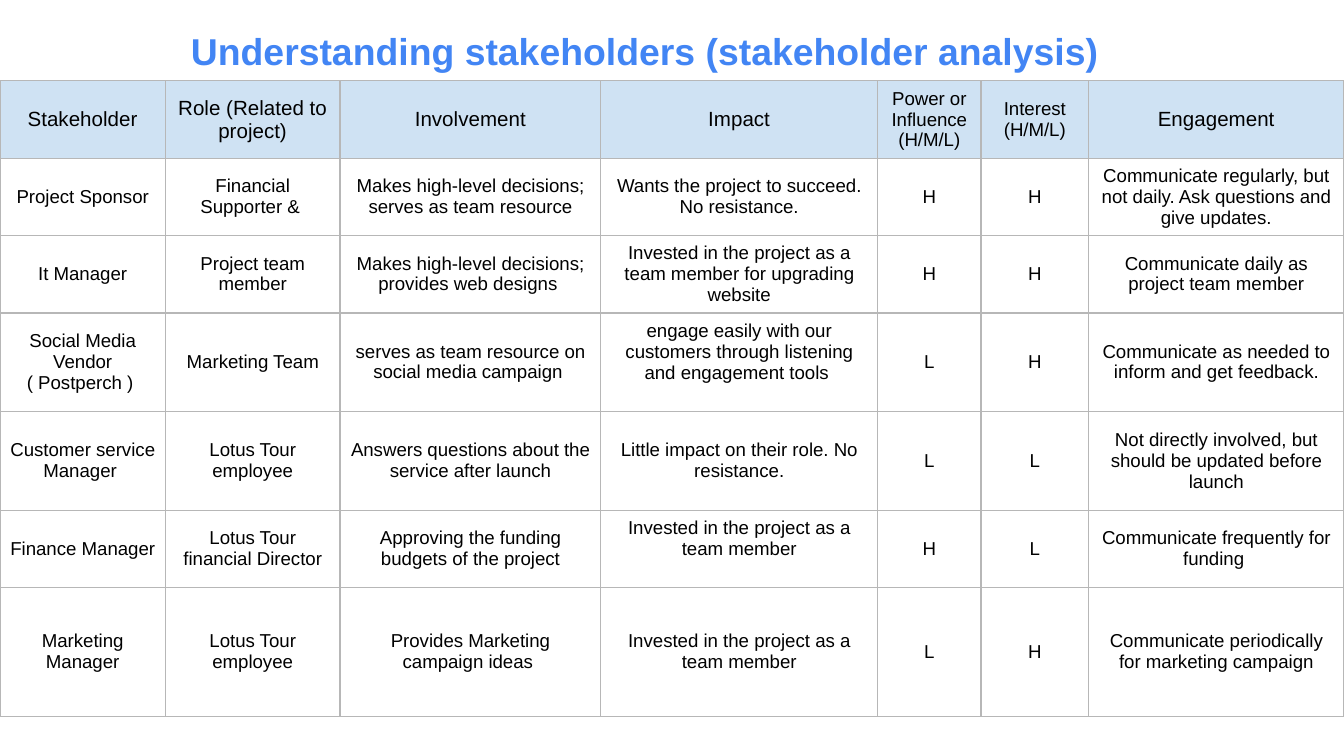
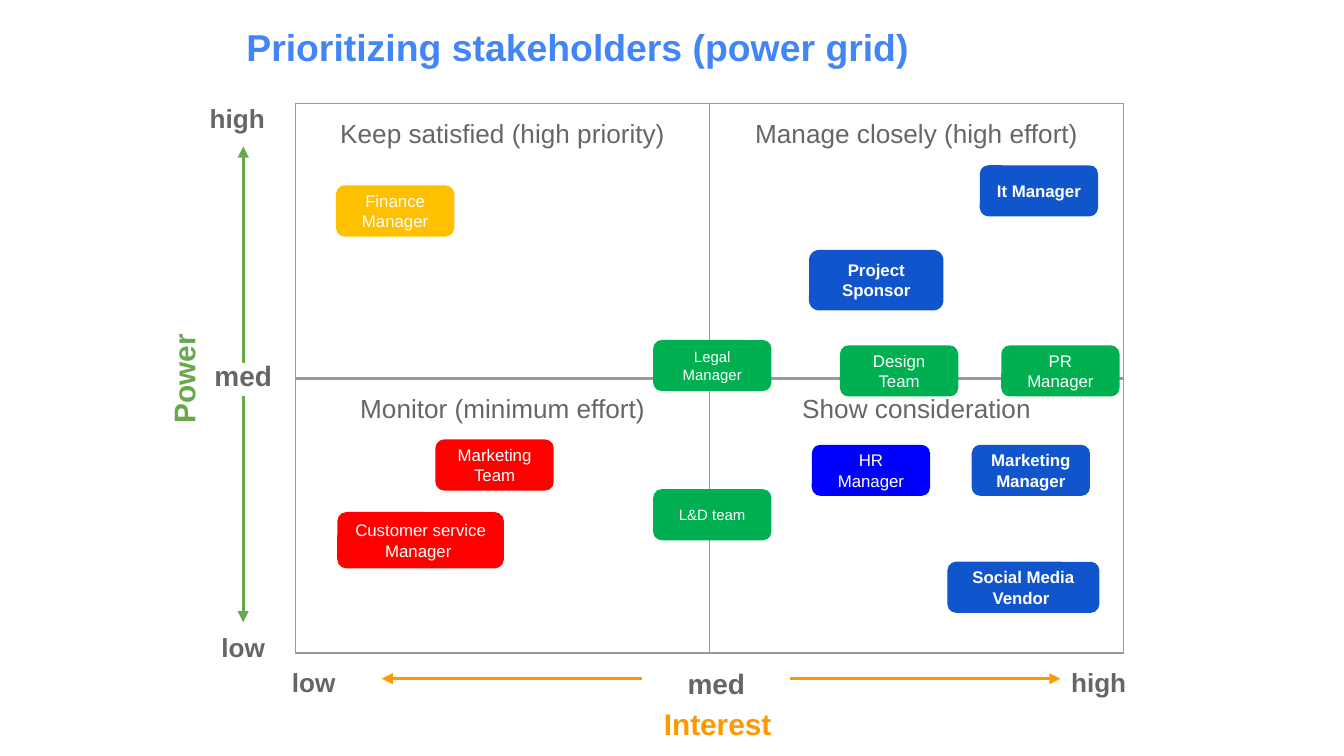
from pptx import Presentation
from pptx.dml.color import RGBColor
from pptx.enum.shapes import MSO_CONNECTOR, MSO_SHAPE
from pptx.enum.text import MSO_ANCHOR, MSO_AUTO_SIZE, PP_ALIGN
from pptx.oxml import parse_xml
from pptx.oxml.ns import nsdecls, qn
from pptx.util import Pt

SCALE = 9144  # EMU per px, 100 px to the inch
WIDE = 1000
FONT = "Arial"
PAD = 10

BLACK = RGBColor(0x00, 0x00, 0x00)
WHITE = RGBColor(0xFF, 0xFF, 0xFF)
TITLE = RGBColor(0x42, 0x85, 0xF4)
HEAD = RGBColor(0xCF, 0xE2, 0xF3)
RULE = RGBColor(0xB7, 0xB7, 0xB7)
FRAME = RGBColor(0x99, 0x99, 0x99)
GRAY = RGBColor(0x66, 0x66, 0x66)
POWER = RGBColor(0x6A, 0xA8, 0x4F)
ORANGE = RGBColor(0xFF, 0x99, 0x00)
GREEN = RGBColor(0x00, 0xB0, 0x50)
BLUE = RGBColor(0x11, 0x55, 0xCC)
DEEP = RGBColor(0x00, 0x00, 0xFF)
RED = RGBColor(0xFF, 0x00, 0x00)
GOLD = RGBColor(0xFF, 0xC0, 0x00)

CENTER, RIGHT = PP_ALIGN.CENTER, PP_ALIGN.RIGHT
TOP, MIDDLE = MSO_ANCHOR.TOP, MSO_ANCHOR.MIDDLE
NO_FIT = MSO_AUTO_SIZE.NONE
RECT, ROUND = MSO_SHAPE.RECTANGLE, MSO_SHAPE.ROUNDED_RECTANGLE
STRAIGHT = MSO_CONNECTOR.STRAIGHT

# Stakeholder table
COLS = [123, 130, 194, 206, 77, 80, 190]
ROWS = [58, 57, 58, 73, 74, 57, 96]
SMALL_HEADS = (4, 5)
RAISED = {(3, 3), (5, 3)}  # cells whose text sits half a line higher
CELLS = [
    ["Stakeholder", "Role (Related to project)", "Involvement", "Impact",
     "Power or Influence (H/M/L)", "Interest (H/M/L)", "Engagement"],
    ["Project Sponsor", "Financial Supporter & ",
     "Makes high-level decisions; serves as team resource",
     "Wants the project to succeed. No resistance.", "H", "H",
     "Communicate regularly, but not daily. Ask questions and give updates."],
    ["It Manager", "Project team member",
     "Makes high-level decisions; provides web designs ",
     "Invested in the project as a team member for upgrading website",
     "H", "H", "Communicate daily as project team member"],
    ["Social Media Vendor ( Postperch ) ", "Marketing Team",
     "serves as team resource on social media campaign ",
     "engage easily with our customers through listening and engagement tools ",
     "L", "H", "Communicate as needed to inform and get feedback."],
    ["Customer service Manager ", "Lotus Tour employee",
     "Answers questions about the service after launch",
     "Little impact on their role. No resistance.", "L", "L",
     "Not directly involved, but should be updated before launch"],
    ["Finance Manager", "Lotus Tour financial Director",
     "Approving the funding budgets of the project",
     "Invested in the project as a team member", "H", "L",
     "Communicate frequently for funding "],
    ["Marketing Manager", "Lotus Tour employee",
     "Provides Marketing campaign ideas ",
     "Invested in the project as a team member", "L", "H",
     "Communicate periodically for marketing campaign"],
]

# Power grid
QUAD_X, QUAD_Y, QUAD_W, QUAD_H = 220, 77, 308, 204
STEP = QUAD_H + 1
QUADS = [
    ["Keep satisfied (high priority)", "Manage closely (high effort)"],
    ["Monitor (minimum effort)", "Show consideration"],
]
LABELS = [  # text, box, size, colour, alignment
    ("high", (74, 66, 133, 26), 14, GRAY, RIGHT),
    ("med", (126, 257, 110, 38), 15, GRAY, CENTER),
    ("low", (74, 460, 133, 26), 14, GRAY, RIGHT),
    ("low", (183, 486, 101, 38), 14, GRAY, CENTER),
    ("med", (478, 486, 110, 38), 15, GRAY, CENTER),
    ("high", (767, 486, 101, 38), 14, GRAY, CENTER),
    ("Interest", (479, 515, 110, 47), 16, ORANGE, CENTER),
]
ARROWS = [  # start, end, colour
    ((181, 270), (181, 109), POWER),
    ((181, 295), (181, 463), POWER),
    ((588, 505), (789, 505), ORANGE),
    ((478, 505), (284, 505), ORANGE),
]
CHIP = (88, 38)
CHIPS = [  # text, left and top, width and height, fill, size
    ("Finance Manager", (250, 138), CHIP, GOLD, 9),
    ("It Manager", (729, 123), CHIP, BLUE, 9),
    ("Project Sponsor", (602, 186), (100, 45), BLUE, 9),
    ("Legal Manager", (486, 253), CHIP, GREEN, 8),
    ("Design Team", (625, 257), CHIP, GREEN, 9),
    ("PR Manager", (745, 257), CHIP, GREEN, 9),
    ("Marketing Team", (324, 327), CHIP, RED, 9),
    ("Customer service Manager ", (251, 381), (124, 42), RED, 9),
    ("L&D team", (486, 364), CHIP, GREEN, 8),
    ("HR Manager", (604, 331), CHIP, DEEP, 9),
    ("Marketing Manager", (723, 331), CHIP, BLUE, 9),
    ("Social Media Vendor ", (705, 418), (113, 38), BLUE, 9),
]


def px(n):
    return n * SCALE


def place(box):
    return [px(n) for n in box]


def style(frame, text, size, color, bold=False, align=CENTER):
    """Set the text of a frame and format its one paragraph."""
    frame.text = text
    para = frame.paragraphs[0]
    para.alignment = align
    for run in para.runs:
        font = run.font
        font.name, font.size, font.bold = FONT, Pt(size), bold
        font.color.rgb = color


def fit(frame, anchor=TOP):
    """Wrap the text, fix the box and set even insets."""
    frame.word_wrap = True
    frame.auto_size = NO_FIT
    frame.vertical_anchor = anchor
    frame.margin_left = frame.margin_right = px(PAD)
    frame.margin_top = frame.margin_bottom = px(PAD)


def add_slide(deck, text, box, space=1.0):
    slide = deck.slides.add_slide(deck.slide_layouts[5])
    title = slide.shapes.title
    title.left, title.top, title.width, title.height = place(box)
    fit(title.text_frame)
    style(title.text_frame, text, 20, TITLE, True)
    title.text_frame.paragraphs[0].line_spacing = space
    return slide


def add_label(slide, text, box, size, color, align, anchor=TOP):
    label = slide.shapes.add_textbox(*place(box))
    fit(label.text_frame, anchor)
    style(label.text_frame, text, size, color, True, align)
    return label


def add_box(slide, kind, box, anchor):
    shape = slide.shapes.add_shape(kind, *place(box))
    shape.shadow.inherit = False
    fit(shape.text_frame, anchor)
    return shape


def add_quad(slide, text, box):
    quad = add_box(slide, RECT, box, TOP)
    quad.fill.background()
    quad.line.color.rgb = FRAME
    quad.line.width = Pt(0.75)
    style(quad.text_frame, text, 14, GRAY)


def add_chip(slide, text, spot, dims, fill, size):
    chip = add_box(slide, ROUND, spot + dims, MIDDLE)
    chip.fill.solid()
    chip.fill.fore_color.rgb = fill
    chip.line.fill.background()
    style(chip.text_frame, text, size, WHITE, fill == BLUE)


def add_arrow(slide, start, end, color):
    arrow = slide.shapes.add_connector(STRAIGHT, *place(start + end))
    arrow.line.color.rgb = color
    arrow.line.width = Pt(1.5)
    props = arrow._element.spPr
    props.find(qn("a:ln")).append(
        parse_xml(f'<a:tailEnd {nsdecls("a")} type="triangle"/>'))
    props.append(parse_xml(f'<a:effectLst {nsdecls("a")}/>'))


def add_edges(cell):
    """Draw the four borders; they come before the fill in the cell."""
    props = cell._tc.get_or_add_tcPr()
    for i, side in enumerate(("lnL", "lnR", "lnT", "lnB")):
        props.insert(i, parse_xml(
            f'<a:{side} {nsdecls("a")} w="{Pt(0.75)}"><a:solidFill>'
            f'<a:srgbClr val="{RULE}"/></a:solidFill></a:{side}>'))


def add_grid(slide):
    table = slide.shapes.add_table(
        len(ROWS), len(COLS),
        *place((0, 60, sum(COLS), sum(ROWS)))).table
    table.first_row = table.horz_banding = False
    for col, width in zip(table.columns, COLS):
        col.width = px(width)
    for r, (row, high) in enumerate(zip(table.rows, ROWS)):
        row.height = px(high)
        for c, text in enumerate(CELLS[r]):
            cell = table.cell(r, c)
            cell.vertical_anchor = MIDDLE
            cell.margin_left = cell.margin_right = px(7)
            cell.margin_top = px(5)
            cell.margin_bottom = px(20 if (r, c) in RAISED else 5)
            if r == 0:
                cell.fill.solid()
                cell.fill.fore_color.rgb = HEAD
            else:
                cell.fill.background()
            big = r == 0 and c not in SMALL_HEADS
            style(cell.text_frame, text, 11 if big else 10, BLACK)
            add_edges(cell)


def main():
    deck = Presentation()
    deck.slide_width = px(WIDE)
    deck.slide_height = px(WIDE) * 9 // 16

    # Stakeholder analysis
    slide = add_slide(deck, "Understanding stakeholders (stakeholder analysis)",
                      (-20, 6, WIDE, 54), 1.15)
    add_grid(slide)

    # Power grid: quadrants, axes, then stakeholders
    slide = add_slide(deck, "Prioritizing stakeholders (power grid)",
                      (-70, 8, WIDE, 49))
    for r, names in enumerate(QUADS):
        for c, name in enumerate(names):
            add_quad(slide, name, (QUAD_X + c * QUAD_W, QUAD_Y + r * STEP,
                                   QUAD_W, QUAD_H))
    for label in LABELS:
        add_label(slide, *label)
    power = add_label(slide, "Power", (91, 271, 91, 26), 16, POWER, RIGHT,
                      MIDDLE)
    power.rotation = 270
    for arrow in ARROWS:
        add_arrow(slide, *arrow)
    for chip in CHIPS:
        add_chip(slide, *chip)

    deck.save("out.pptx")


if __name__ == "__main__":
    main()
